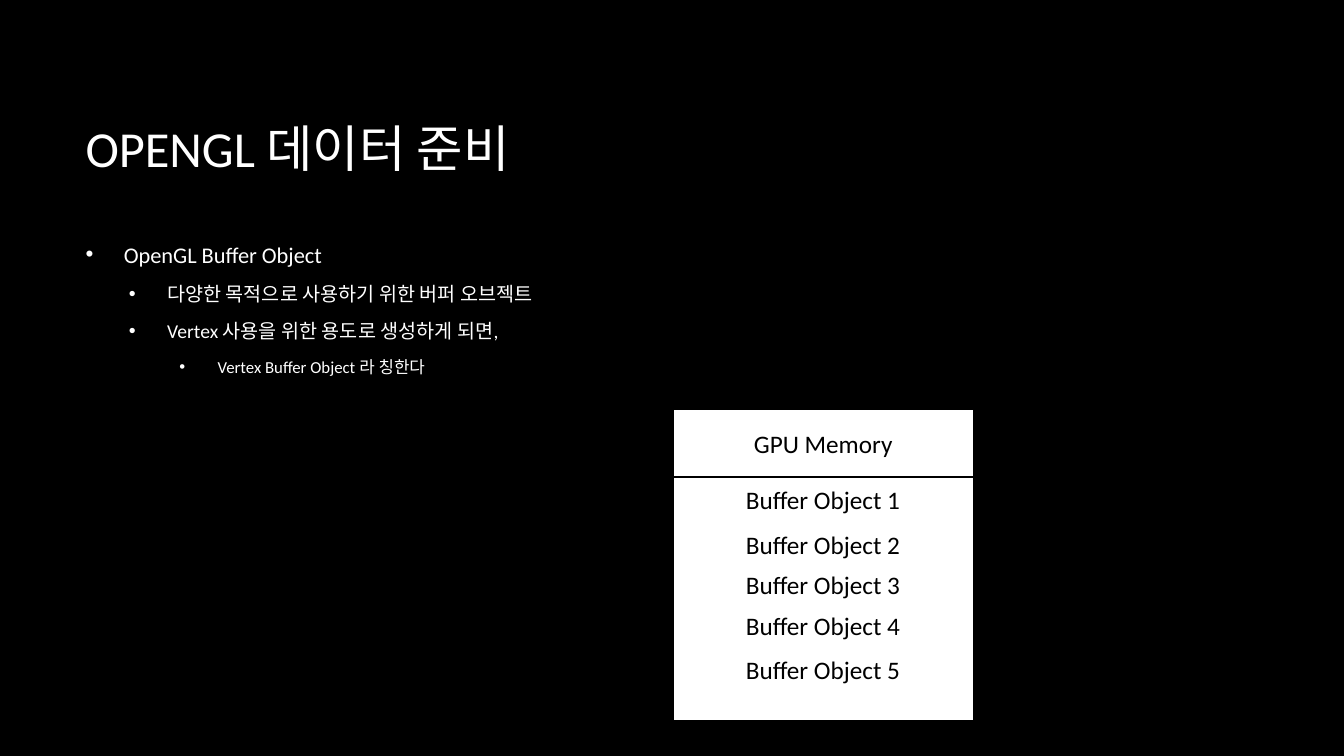
"""Build the slide on OpenGL buffer objects in GPU memory."""
from lxml import etree
from pptx import Presentation
from pptx.dml.color import RGBColor
from pptx.enum import shapes, text
from pptx.oxml import ns
from pptx.util import Inches, Pt

BLACK = RGBColor(0, 0, 0)
WHITE = RGBColor(255, 255, 255)


def style(para, size, color):
    """Set the font of each run in a paragraph."""
    for run in para.runs:
        run.font.name = "Calibri"
        run.font.size = Pt(size)
        run.font.color.rgb = color


def add_text(left, top, width, height):
    """Add a wrapping text box and return its frame."""
    box = slide.shapes.add_textbox(
        Inches(left), Inches(top), Inches(width), Inches(height))
    box.text_frame.word_wrap = True
    return box.text_frame


deck = Presentation()
deck.slide_width = Inches(13.33)
deck.slide_height = Inches(7.5)
slide = deck.slides.add_slide(deck.slide_layouts[6])
slide.background.fill.solid()
slide.background.fill.fore_color.rgb = BLACK

title = add_text(0.75, 0.67, 11.08, 1.59)
title.vertical_anchor = text.MSO_ANCHOR.MIDDLE
title.text = "OPENGL 데이터 준비"
style(title.paragraphs[0], 36, WHITE)

points = [
    (0, "OpenGL Buffer Object"),
    (1, "다양한 목적으로 사용하기 위한 버퍼 오브젝트"),
    (1, "Vertex 사용을 위한 용도로 생성하게 되면,"),
    (2, "Vertex Buffer Object 라 칭한다"),
]
indents = [0.38, 0.81, 1.31]
body = add_text(0.75, 2.34, 11.08, 3.99)
body.text = "\n".join(words for level, words in points)
for para, (level, words) in zip(body.paragraphs, points):
    para.level = level
    para.space_after = Pt(10)
    style(para, 16 - 2 * level, WHITE)
    props = para._p.get_or_add_pPr()
    props.set("marL", str(Inches(indents[level])))
    props.set("indent", str(Inches(-0.38)))
    etree.SubElement(props, ns.qn("a:buFont")).set("typeface", "Arial")
    etree.SubElement(props, ns.qn("a:buChar")).set("char", "•")

memory = slide.shapes.add_group_shape()
for height, label in [(3.09, ""), (0.67, "GPU Memory")]:
    block = memory.shapes.add_shape(
        shapes.MSO_SHAPE.FLOWCHART_PROCESS,
        Inches(6.67), Inches(4.06), Inches(2.99), Inches(height))
    block.shadow.inherit = False
    block.fill.solid()
    block.fill.fore_color.rgb = WHITE
    block.line.color.rgb = BLACK
    block.line.width = Pt(1.5)
    if label:
        frame = block.text_frame
        frame.text = label
        frame.vertical_anchor = text.MSO_ANCHOR.MIDDLE
        frame.paragraphs[0].alignment = text.PP_ALIGN.CENTER
        style(frame.paragraphs[0], 18, BLACK)

for count, top in enumerate([4.76, 5.2, 5.6, 6.01, 6.44], 1):
    frame = add_text(7.3, top, 1.81, 0.4)
    frame.text = f"Buffer Object {count}"
    style(frame.paragraphs[0], 18, BLACK)

deck.save("out.pptx")
